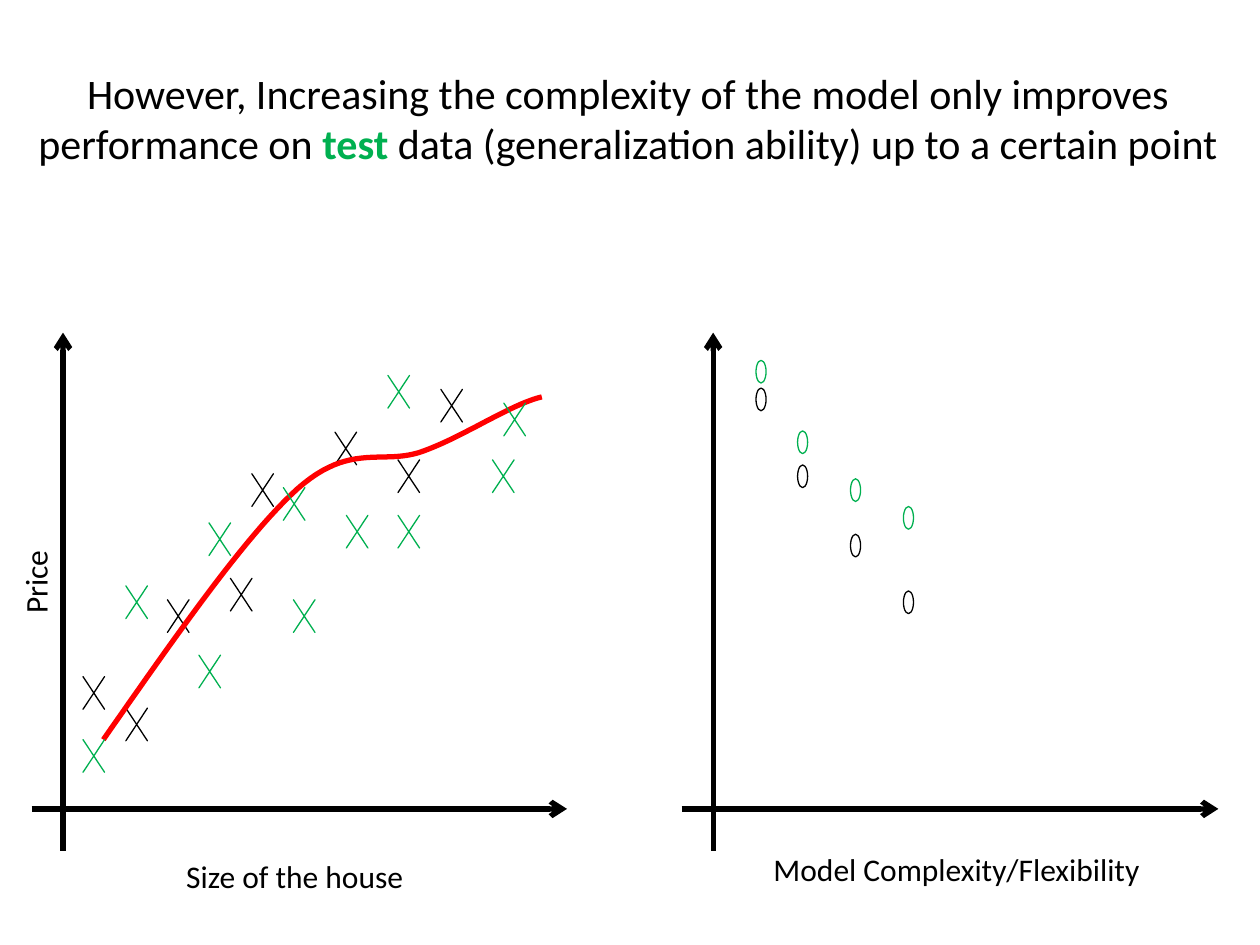
"""Build a slide on model complexity and performance on test data."""
import pptx
import pptx.util
import pptx.dml.color
import pptx.enum.shapes
import pptx.enum.text
import pptx.oxml
import pptx.oxml.ns
import lxml.etree

Inches = pptx.util.Inches
SHAPE = pptx.enum.shapes.MSO_SHAPE
COLORS = {"ink": "000000", "test": "00B050", "model": "FF0000"}
HEADLINE = [
    ("However, Increasing the complexity of the model only improves performance on ", "ink", False),
    ("test", "test", True),
    (" data (generalization ability) up to a certain point", "ink", False),
]
AXIS_LABELS = [
    ("Size of the house", (1.38, 6.75, 2, 0.4), 0),
    ("Price", (-0.3, 4.19, 1.16, 0.4), 270),
    ("Model Complexity/Flexibility", (6.04, 6.7, 3.21, 0.4), 0),
]
AXES = [
    ((5.66, 6.75), (5.66, 2.64)), ((5.41, 6.42), (9.67, 6.42)),
    ((0.5, 6.75), (0.5, 2.64)), ((0.25, 6.42), (4.5, 6.42)),
]
HOUSES = {
    "ink": [(0.92, 5.5), (0.58, 5.25), (1.25, 4.64), (1.75, 4.47),
            (1.92, 3.64), (2.58, 3.31), (3.08, 3.53), (3.42, 2.97)],
    "test": [(0.58, 5.75), (0.92, 4.53), (1.5, 5.08), (1.58, 4.03),
             (2.25, 4.64), (2.67, 3.97), (3, 2.86), (3.83, 3.53),
             (3.08, 3.97), (2.17, 3.75), (3.92, 3.08)],
}
ERROR_LEFTS = [6, 6.33, 6.75, 7.17]
ERROR_TOPS = {"ink": [3.08, 3.69, 4.24, 4.69], "test": [2.86, 3.42, 3.8, 4.02]}
FIT_START = (0.82, 5.87)
FIT_CURVES = [
    ((1.38, 5.07), (1.94, 4.26), (2.36, 3.88)),
    ((2.79, 3.5), (3.04, 3.7), (3.36, 3.58)),
    ((3.69, 3.46), (4.05, 3.21), (4.3, 3.15)),
]
CURVE_STEPS = 24


def rgb(name):
    return pptx.dml.color.RGBColor.from_string(COLORS[name])


def add_text(paragraph, text, size=18, color="ink", bold=False):
    run = paragraph.add_run()
    run.text = text
    run.font.name = "Calibri"
    run.font.size = pptx.util.Pt(size)
    run.font.bold = bold
    run.font.color.rgb = rgb(color)


def outline(shape, color, width):
    shape.shadow.inherit = False
    shape.fill.background()
    shape.line.color.rgb = rgb(color)
    shape.line.width = pptx.util.Pt(width)


def add_axis(shapes, start, end):
    axis = shapes.add_connector(
        pptx.enum.shapes.MSO_CONNECTOR.STRAIGHT, *map(Inches, start + end))
    axis.line.color.rgb = rgb("ink")
    axis.line.width = pptx.util.Pt(3)
    qn = pptx.oxml.ns.qn
    lxml.etree.SubElement(axis.line._get_or_add_ln(), qn("a:tailEnd"), type="arrow")
    lxml.etree.SubElement(axis._element.spPr, qn("a:effectLst"))


def add_marker(shapes, kind, position, size, color):
    marker = shapes.add_shape(kind, *map(Inches, position + size))
    outline(marker, color, 0.75)
    return marker


def add_houses(shapes, color):
    for position in HOUSES[color]:
        cross = add_marker(shapes, SHAPE.MATH_MULTIPLY, position, (0.33, 0.5), color)
        cross.adjustments[0] = 0


def bezier(points, t):
    weights = ((1 - t) ** 3, 3 * t * (1 - t) ** 2, 3 * t * t * (1 - t), t ** 3)
    return tuple(Inches(sum(w * p[axis] for w, p in zip(weights, points)))
                 for axis in (0, 1))


def add_fit(shapes):
    vertices, start = [], FIT_START
    for curve in FIT_CURVES:
        vertices += [bezier((start, *curve), step / CURVE_STEPS)
                     for step in range(1, CURVE_STEPS + 1)]
        start = curve[-1]
    builder = shapes.build_freeform(*map(Inches, FIT_START))
    builder.add_line_segments(vertices, close=False)
    outline(builder.convert_to_shape(), "model", 3)


def main():
    deck = pptx.Presentation()
    deck.slide_width, deck.slide_height = Inches(10), Inches(7.5)
    slide = deck.slides.add_slide(deck.slide_layouts[5])
    shapes = slide.shapes

    headline = shapes.title
    headline.left, headline.top, headline.width, headline.height = map(
        Inches, (0, 0.31, 9.97, 1.25))
    headline.text_frame.vertical_anchor = pptx.enum.text.MSO_ANCHOR.MIDDLE
    sentence = headline.text_frame.paragraphs[0]
    sentence.alignment = pptx.enum.text.PP_ALIGN.CENTER
    for text, color, bold in HEADLINE:
        add_text(sentence, text, size=24, color=color, bold=bold)

    for start, end in AXES:
        add_axis(shapes, start, end)
    for text, place, rotation in AXIS_LABELS:
        label = shapes.add_textbox(*map(Inches, place))
        label.rotation = rotation
        label.text_frame.word_wrap = True
        label.text_frame.auto_size = pptx.enum.text.MSO_AUTO_SIZE.SHAPE_TO_FIT_TEXT
        add_text(label.text_frame.paragraphs[0], text)

    add_houses(shapes, "ink")
    add_fit(shapes)
    add_houses(shapes, "test")
    for color, tops in ERROR_TOPS.items():
        for position in zip(ERROR_LEFTS, tops):
            add_marker(shapes, SHAPE.OVAL, position, (0.08, 0.18), color)
    deck.save("out.pptx")


if __name__ == "__main__":
    main()
